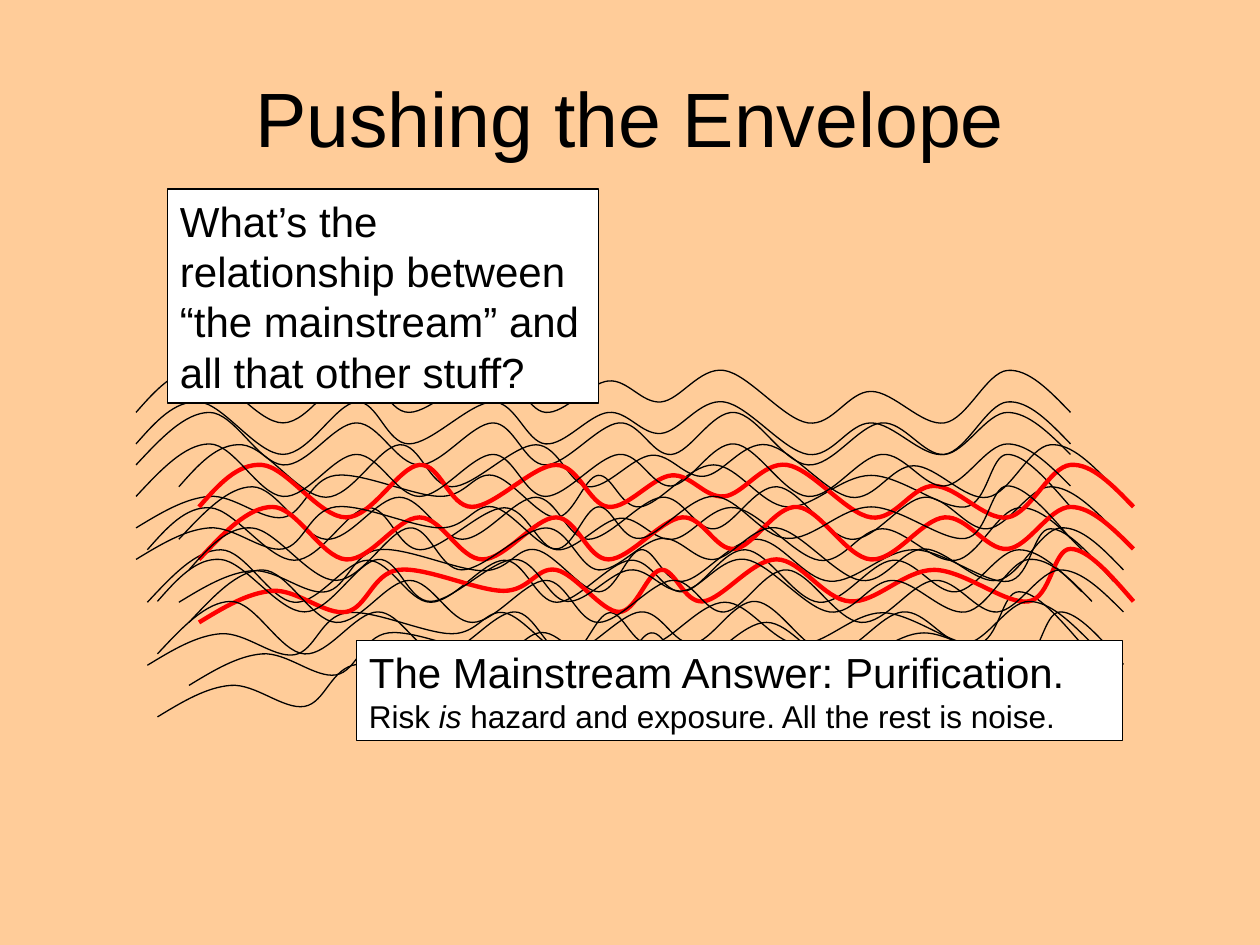
from dataclasses import dataclass

from pptx import Presentation
from pptx import util as u
from pptx.dml.color import RGBColor
from pptx.enum import shapes, text
from pptx.oxml import ns, xmlchemy


@dataclass
class Theme:
    font: str = "Arial"
    background: RGBColor = RGBColor(0xFF, 0xCC, 0x99)
    paper: RGBColor = RGBColor(0xFF, 0xFF, 0xFF)
    ink: RGBColor = RGBColor(0, 0, 0)
    accent: RGBColor = RGBColor(0xFF, 0, 0)
    title_size: int = 44
    body_size: int = 24
    small_size: int = 18
    thin: float = 0.75
    thick: float = 2.5


# Anchor points of the three waves, in twelfths of an inch from a bundle's origin
UNIT = 1 / 12
WAVES = [
    list(zip([0, 7, 14, 21, 27, 34, 39, 46, 51, 57, 64, 71, 77, 83, 89],
             [9, 4, 9, 5, 9, 5, 9, 5, 8, 4, 9, 5, 8, 4, 8])),
    list(zip([0, 7, 14, 19, 29, 34, 40, 44, 48, 55, 62, 70, 79, 83, 89],
             [15, 12, 14, 10, 12, 10, 14, 10, 13, 9, 13, 10, 13, 8, 13])),
    list(zip([0, 6, 14, 21, 26, 34, 39, 45, 50, 56, 64, 70, 77, 83, 89],
             [4, 0, 5, 0, 4, 0, 4, 1, 3, 0, 5, 2, 5, 0, 4])),
]

# Origin of each bundle, and whether it is the mainstream
BUNDLES = [
    (1.08, 2.94, False),
    (1.17, 4.03, False),
    (1.42, 3.53, False),
    (1.58, 3.69, True),
    (1.5, 4.19, False),
    (1.08, 3.19, False),
    (1.25, 4.44, False),
]


def midpoint(first, second):
    return tuple((a + b) / 2 for a, b in zip(first, second))


def smooth_points(anchors):
    """Two control points and an end point for each span of a smooth curve."""
    last = len(anchors) - 1

    def handle(index, sign):
        before, after = anchors[index - 1], anchors[index + 1]
        return tuple(p + sign * (b - a) / 6
                     for p, a, b in zip(anchors[index], before, after))

    points = []
    for index in range(last):
        leaving = handle(index, 1) if index > 0 else None
        arriving = handle(index + 1, -1) if index + 1 < last else None
        leaving = leaving or midpoint(anchors[0], arriving)
        arriving = arriving or midpoint(leaving, anchors[last])
        points += [leaving, arriving, anchors[index + 1]]
    return points


class SlideBuilder:
    def __init__(self, slide, theme):
        self.slide = slide
        self.theme = theme
        fill = slide.background.fill
        fill.solid()
        fill.fore_color.rgb = theme.background

    def set_font(self, font, size):
        font.name = self.theme.font
        font.size = u.Pt(size)
        font.color.rgb = self.theme.ink

    def set_frame(self, frame, anchor):
        frame.word_wrap = True
        frame.vertical_anchor = anchor
        frame.margin_left = frame.margin_right = u.Inches(0.1)
        frame.margin_top = frame.margin_bottom = u.Inches(0.05)

    def title(self, words, left, top, width, height):
        shape = self.slide.shapes.title
        shape.left, shape.top = u.Inches(left), u.Inches(top)
        shape.width, shape.height = u.Inches(width), u.Inches(height)
        shape.text_frame.text = words
        self.set_frame(shape.text_frame, text.MSO_ANCHOR.MIDDLE)
        paragraph = shape.text_frame.paragraphs[0]
        paragraph.alignment = text.PP_ALIGN.CENTER
        self.set_font(paragraph.font, self.theme.title_size)

    def curve(self, group, anchors, color, weight):
        emu = [(u.Inches(x), u.Inches(y)) for x, y in anchors]
        builder = group.shapes.build_freeform(*emu[0])
        builder.add_line_segments(smooth_points(emu), close=False)
        shape = builder.convert_to_shape()
        # Turn every three line steps into one Bézier span
        path = shape.element.find(".//" + ns.qn("a:path"))
        steps = path.findall(ns.qn("a:lnTo"))
        for start in range(0, len(steps), 3):
            span = xmlchemy.OxmlElement("a:cubicBezTo")
            for step in steps[start:start + 3]:
                span.append(step[0])
                path.remove(step)
            path.append(span)
        shape.shadow.inherit = False
        shape.fill.background()
        shape.line.color.rgb = color
        shape.line.width = u.Pt(weight)

    def bundle(self, left, top, mainstream):
        theme = self.theme
        color = theme.accent if mainstream else theme.ink
        weight = theme.thick if mainstream else theme.thin
        group = self.slide.shapes.add_group_shape()
        for wave in WAVES:
            anchors = [(left + x * UNIT, top + y * UNIT) for x, y in wave]
            self.curve(group, anchors, color, weight)

    def box(self, runs, left, top, width, height, border):
        shape = self.slide.shapes.add_shape(
            shapes.MSO_SHAPE.RECTANGLE, u.Inches(left), u.Inches(top),
            u.Inches(width), u.Inches(height))
        shape.shadow.inherit = False
        shape.fill.solid()
        shape.fill.fore_color.rgb = self.theme.paper
        shape.line.color.rgb = self.theme.ink
        shape.line.width = u.Pt(border)
        frame = shape.text_frame
        self.set_frame(frame, text.MSO_ANCHOR.TOP)
        frame.auto_size = text.MSO_AUTO_SIZE.SHAPE_TO_FIT_TEXT
        paragraph = frame.paragraphs[0]
        paragraph.alignment = text.PP_ALIGN.LEFT
        for words, size, italic in runs:
            run = paragraph.add_run()
            run.text = words
            self.set_font(run.font, size)
            run.font.italic = italic


def main():
    presentation = Presentation()
    presentation.slide_width = u.Inches(10)
    presentation.slide_height = u.Inches(7.5)
    theme = Theme()
    title_only = presentation.slide_layouts[5]
    builder = SlideBuilder(presentation.slides.add_slide(title_only), theme)

    # Title
    builder.title("Pushing the Envelope", 0.5, 0.3, 9, 1.25)

    # Wave bundles
    for left, top, mainstream in BUNDLES:
        builder.bundle(left, top, mainstream)

    # Question and answer
    question = ("What’s the relationship between “the mainstream” "
                "and all that other stuff?")
    builder.box([(question, theme.body_size, False)], 1.33, 1.5, 3.42, 1.7, 1)
    builder.box([
        ("The Mainstream Answer: Purification.", theme.body_size, False),
        (" Risk ", theme.small_size, False),
        ("is ", theme.small_size, True),
        ("hazard and exposure. All the rest is noise.", theme.small_size, False),
    ], 2.83, 5.08, 6.08, 0.8, 0.5)

    presentation.save("out.pptx")


if __name__ == "__main__":
    main()
